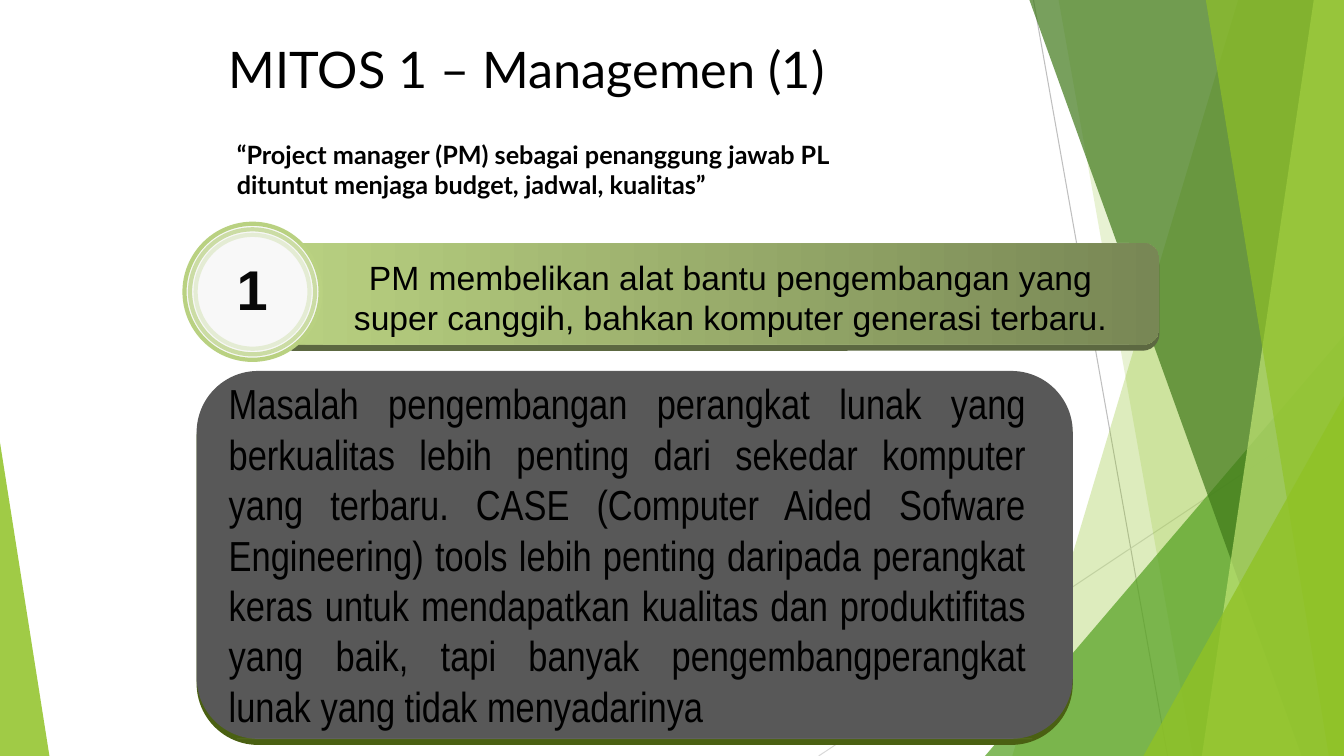
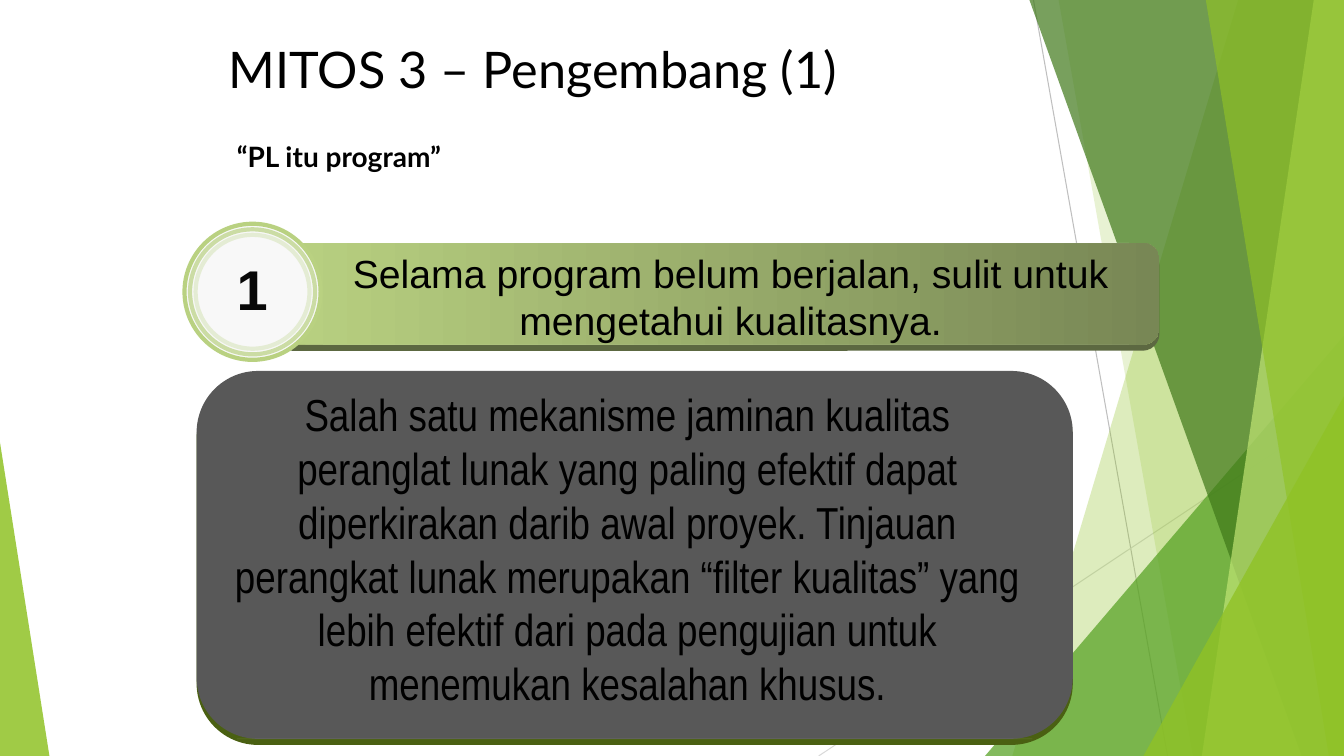
from lxml.etree import SubElement
from pptx import Presentation
from pptx.dml.color import RGBColor
from pptx.enum.shapes import MSO_CONNECTOR as Link, MSO_SHAPE as Kind
from pptx.enum.text import MSO_ANCHOR as Anchor, PP_ALIGN as Align
from pptx.oxml.ns import qn
from pptx.util import Inches, Pt

WIDE, HIGH = 13.33, 7.5
LIME, LEAF, MOSS, PALE = "90C226", "54A021", "3F7819", "C0E474"
BLACK, WHITE = "000000", "FFFFFF"
RING, OLIVE = "B9D181", "788755"
GRAY, PANEL_LIP, BAR_LIP = "585858", "4A6012", "5C6841"
HEAD, BODY, NARROW = "Lato", "Arial", "Arial Narrow"


def rgb(code):
    return RGBColor.from_string(code)


def paint(fill, color, alpha=100):
    """Solid colour with an opacity in percent."""
    fill.solid()
    fill.fore_color.rgb = rgb(color)
    if alpha < 100:
        node = fill._xPr.find(qn("a:solidFill"))[0]
        SubElement(node, qn("a:alpha"), val=str(alpha * 1000))


def finish(shape, color=None, alpha=100):
    shape.shadow.inherit = False
    shape.line.fill.background()
    if color:
        paint(shape.fill, color, alpha)
    else:
        shape.fill.background()
    return shape


def block(slide, kind, box, color=None, alpha=100, adj=None):
    shape = slide.shapes.add_shape(kind, *map(Inches, box))
    if adj is not None:
        shape.adjustments[0] = adj
    return finish(shape, color, alpha)


def poly(slide, points, color, alpha):
    spots = [(Inches(x), Inches(y)) for x, y in points]
    maker = slide.shapes.build_freeform(*spots[0])
    maker.add_line_segments(spots[1:], close=True)
    finish(maker.convert_to_shape(), color, alpha)


def rule(slide, start, end, color, width, alpha=100):
    line = slide.shapes.add_connector(Link.STRAIGHT, *map(Inches, start + end))
    line.line.width = Pt(width)
    paint(line.line.fill, color, alpha)
    SubElement(line._element.spPr, qn("a:effectLst"))


def write(slide, box, text, size, font=BODY, color=BLACK, bold=False,
          align=Align.LEFT):
    frame = slide.shapes.add_textbox(*map(Inches, box)).text_frame
    frame.word_wrap = True
    frame.vertical_anchor = Anchor.TOP
    para = frame.paragraphs[0]
    para.text = text
    para.alignment = align
    for run in para.runs:
        run.font.size = Pt(size)
        run.font.name = font
        run.font.bold = bold
        run.font.color.rgb = rgb(color)


def facets(slide):
    """Backdrop of thin lines and see-through green shards."""
    rule(slide, (10.25, 0), (11.58, HIGH), "BFBFBF", 0.75)
    rule(slide, (WIDE, 4.03), (8.12, HIGH), "D9D9D9", 0.75)

    def shard(top, base, color, alpha):
        poly(slide, [(top, 0), (WIDE, 0), (WIDE, HIGH), (base, HIGH)],
             color, alpha)

    def wedge(left, top, width, color, alpha, adj=1):
        block(slide, Kind.ISOSCELES_TRIANGLE,
              (left, top, width, HIGH - top), color, alpha, adj)

    shard(12.28, 10.04, LIME, 30)
    shard(10.5, 11.83, LIME, 20)
    wedge(9.77, 3.33, 3.56, LEAF, 72)
    shard(10.21, 12.91, MOSS, 70)
    shard(13.03, 11.92, PALE, 70)
    shard(11.96, 13.18, LIME, 65)
    wedge(11.34, 3.93, 1.99, LIME, 80)
    wedge(0, 4.39, 0.49, LIME, 85, adj=0)


def slab(slide, box, color, lip, inset):
    """Rounded plate with a darker lower lip and faint edge lines."""
    left, top, width, height = box
    block(slide, Kind.ROUNDED_RECTANGLE, (left, top + 0.06, width, height),
          lip, adj=0.167)
    face = block(slide, Kind.ROUNDED_RECTANGLE, box, color, adj=0.167)
    for y in (top + height, top):
        rule(slide, (left + inset, y), (left + width - inset, y),
             WHITE, 0.25, 15)
    return face


def panel(slide, box, text, size, align, drop):
    left, top, width, height = box
    slab(slide, box, GRAY, PANEL_LIP, 0.4)
    write(slide, (left + 0.22, top + drop, 8.11, height - 2 * drop), text,
          size, font=NARROW, align=align)


def banner(slide, box, text, size, drop):
    left, top, width, height = box
    face = slab(slide, box, RING, BAR_LIP, 0.3)
    face.fill.gradient()
    face.fill.gradient_angle = 0
    for stop, color in zip(face.fill.gradient_stops, (RING, OLIVE)):
        stop.color.rgb = rgb(color)
    write(slide, (left + 0.33, top + drop, 8.37, height - drop), text, size,
          align=Align.CENTER)


def badge(slide, box, text):
    """Number inside three rings that fade inward."""
    left, top, side, _ = box
    for step, alpha in enumerate((100, 70, 30)):
        gap = step * 0.055
        ring = block(slide, Kind.OVAL,
                     (left + gap, top + gap, side - 2 * gap, side - 2 * gap),
                     None if step else "F8F8F8")
        ring.line.width = Pt(3)
        paint(ring.line.fill, RING, alpha)
    write(slide, (left + 0.08, top + 0.26, 1.18, 0.77), text, 40,
          color="080808", bold=True, align=Align.CENTER)


def myth(deck, title, quote, claim, fact):
    slide = deck.slides.add_slide(deck.slide_layouts[6])
    facets(slide)
    write(slide, (2.17, 0.33, 8.25, 1.08), title, 36, font=HEAD)
    write(slide, (2.25, 1.33, 6.92, 0.71), font=HEAD, bold=True, **quote)
    panel(slide, (1.95, 3.68, 8.69, 3.65), **fact)
    banner(slide, (2.73, 2.41, 8.77, 1.01), **claim)
    badge(slide, (1.83, 2.22, 1.35, 1.35), "1")


MYTHS = [
    dict(
        title="MITOS 1 – Managemen (1)",
        quote=dict(size=18, text="“Project manager (PM) sebagai penanggung "
                   "jawab PL\ndituntut menjaga budget, jadwal, kualitas”"),
        claim=dict(size=24, drop=0.09,
                   text="PM membelikan alat bantu pengembangan yang\n"
                   "super canggih, bahkan komputer generasi terbaru."),
        fact=dict(size=30, align=Align.JUSTIFY, drop=0.02,
                  text="Masalah pengembangan perangkat lunak yang "
                  "berkualitas lebih penting dari sekedar komputer yang "
                  "terbaru. CASE (Computer Aided Sofware Engineering) tools "
                  "lebih penting daripada perangkat keras untuk mendapatkan "
                  "kualitas dan produktifitas yang baik, tapi banyak "
                  "pengembangperangkat lunak yang tidak menyadarinya"),
    ),
    dict(
        title="MITOS 3 – Pengembang (1)",
        quote=dict(size=20, text="“PL itu program”"),
        claim=dict(size=28, drop=0.01,
                   text="Selama program belum berjalan, sulit untuk\n"
                   "mengetahui kualitasnya."),
        fact=dict(size=32, align=Align.CENTER, drop=0.11,
                  text="Salah satu mekanisme jaminan kualitas peranglat "
                  "lunak yang paling efektif dapat diperkirakan darib awal "
                  "proyek. Tinjauan perangkat lunak merupakan “filter "
                  "kualitas” yang lebih efektif dari pada pengujian untuk "
                  "menemukan kesalahan khusus."),
    ),
]


def main():
    deck = Presentation()
    deck.slide_width, deck.slide_height = Inches(WIDE), Inches(HIGH)
    for item in MYTHS:
        myth(deck, **item)
    deck.save("out.pptx")


if __name__ == "__main__":
    main()
